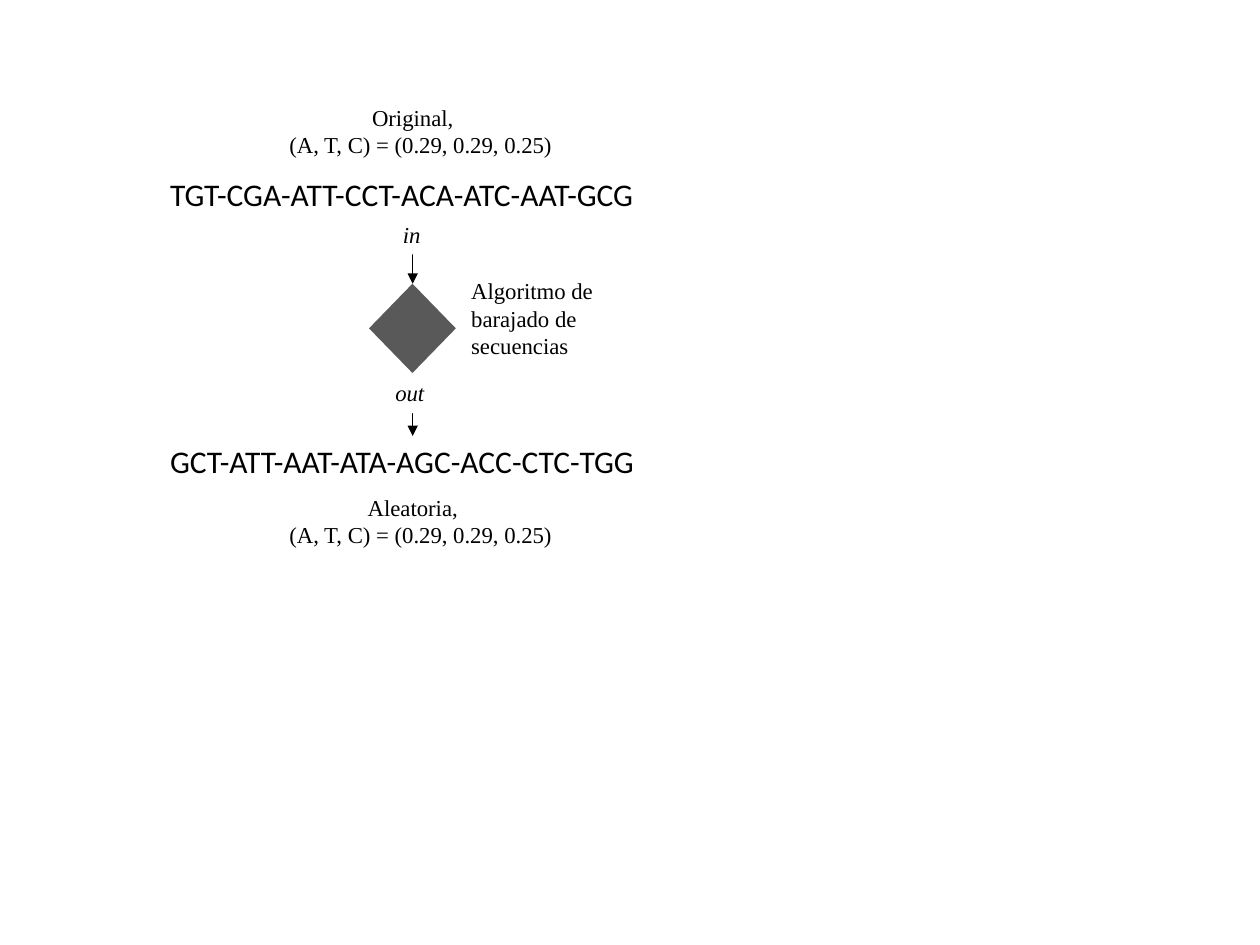
import pptx
import pptx.util
import pptx.dml.color
import pptx.enum.shapes
import pptx.enum.text
import pptx.oxml

Cm = pptx.util.Cm
Align = pptx.enum.text.PP_ALIGN
Preset = pptx.enum.shapes.MSO_SHAPE

BLACK, WHITE, GREY = "000000", "FFFFFF", "595959"
SERIF, SANS = "Times New Roman", "Calibri"
AXIS = 8.32  # centre of the flow, in cm
FREQUENCIES = "(A, T, C) = (0.29, 0.29, 0.25) "


def color(hex_code):
    return pptx.dml.color.RGBColor.from_string(hex_code)


def write(frame, lines, size=13, font=SERIF, italic=False):
    """Fill a text frame with (text, alignment) lines."""
    frame.word_wrap = True
    frame.vertical_anchor = pptx.enum.text.MSO_ANCHOR.TOP
    for index, (text, alignment) in enumerate(lines):
        line = frame.paragraphs[0] if index == 0 else frame.add_paragraph()
        line.alignment = alignment
        run = line.add_run()
        run.text = text
        run.font.size = pptx.util.Pt(size)
        run.font.name = font
        run.font.italic = italic
        run.font.color.rgb = color(BLACK)


def add_text(flow, left, top, width, height, lines, **style):
    box = flow.add_textbox(Cm(left), Cm(top), Cm(width), Cm(height))
    write(box.text_frame, lines, **style)


def add_solid(flow, preset, left, top, width, height, fill):
    solid = flow.add_shape(preset, Cm(left), Cm(top), Cm(width), Cm(height))
    solid.shadow.inherit = False
    solid.fill.solid()
    solid.fill.fore_color.rgb = color(fill)
    solid.line.fill.background()
    return solid


def add_arrow(flow, top, bottom):
    arrow = flow.add_connector(pptx.enum.shapes.MSO_CONNECTOR.STRAIGHT,
                               Cm(AXIS), Cm(top), Cm(AXIS), Cm(bottom))
    arrow.line.color.rgb = color(BLACK)
    arrow.line.width = pptx.util.Pt(0.5)
    namespace = pptx.oxml.ns.nsdecls("a")
    arrow.line._get_or_add_ln().append(pptx.oxml.parse_xml(
        f'<a:tailEnd {namespace} type="triangle"/>'))
    arrow._element.spPr.append(pptx.oxml.parse_xml(f"<a:effectLst {namespace}/>"))


def add_sequence(flow, top, codons):
    add_text(flow, 3.18, top, 10.31, 1.02, [(codons, Align.LEFT)], size=18, font=SANS)


def add_caption(flow, top, name):
    add_text(flow, 5.16, top, 6.32, 1.37,
             [(name, Align.CENTER), (FREQUENCIES, Align.RIGHT)])


def add_step(flow, left, top, width, name):
    """White label covering the upper part of an arrow."""
    label = add_solid(flow, Preset.RECTANGLE, left, top, width, 0.81, WHITE)
    write(label.text_frame, [(name, Align.LEFT)], italic=True)


def main():
    deck = pptx.Presentation()
    deck.slide_width, deck.slide_height = Cm(25.4), Cm(19.05)
    slide = deck.slides.add_slide(deck.slide_layouts[6])
    flow = slide.shapes.add_group_shape().shapes

    # Input and output sequences
    add_arrow(flow, 4.42, 5.72)
    add_sequence(flow, 3.4, "TGT-CGA-ATT-CCT-ACA-ATC-AAT-GCG")
    add_sequence(flow, 8.79, "GCT-ATT-AAT-ATA-AGC-ACC-CTC-TGG")

    # Shuffling algorithm
    add_solid(flow, Preset.DIAMOND, 7.44, 5.72, 1.75, 1.8, GREY)
    add_text(flow, 9.25, 5.46, 4.24, 1.93,
             [("Algoritmo de barajado de secuencias", Align.LEFT)])

    # Steps in and out
    add_step(flow, 7.87, 4.32, 1.04, "in")
    add_arrow(flow, 7.52, 8.79)
    add_step(flow, 7.72, 7.52, 1.57, "out")

    # Base frequencies
    add_caption(flow, 1.96, "Original,")
    add_caption(flow, 9.83, "Aleatoria,")

    deck.save("out.pptx")


if __name__ == "__main__":
    main()
